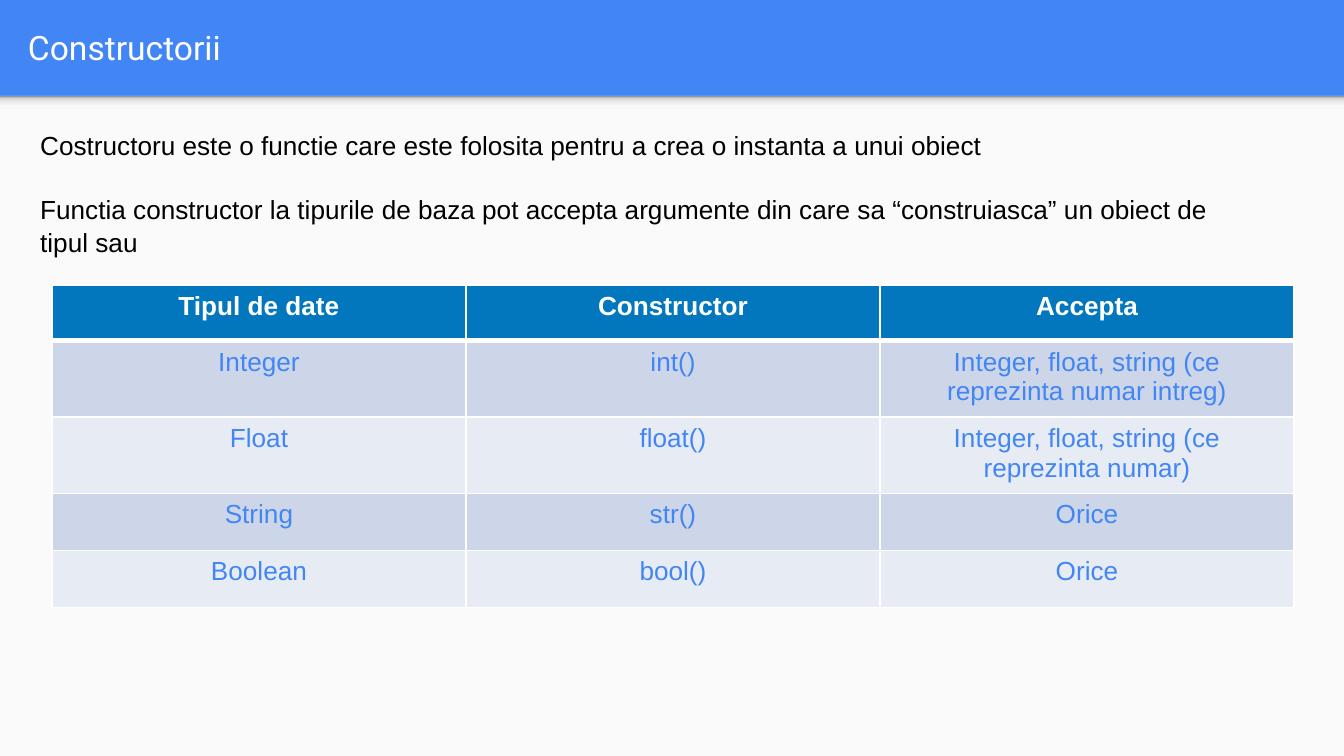
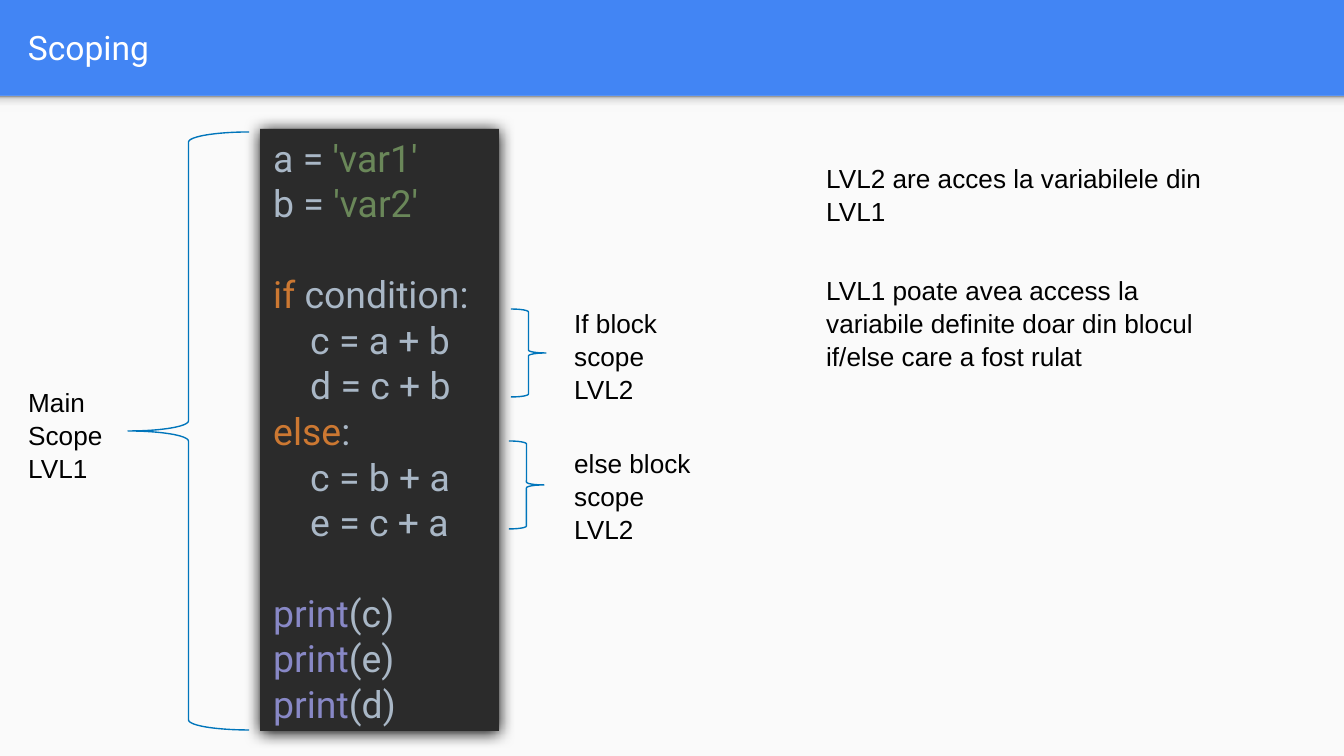
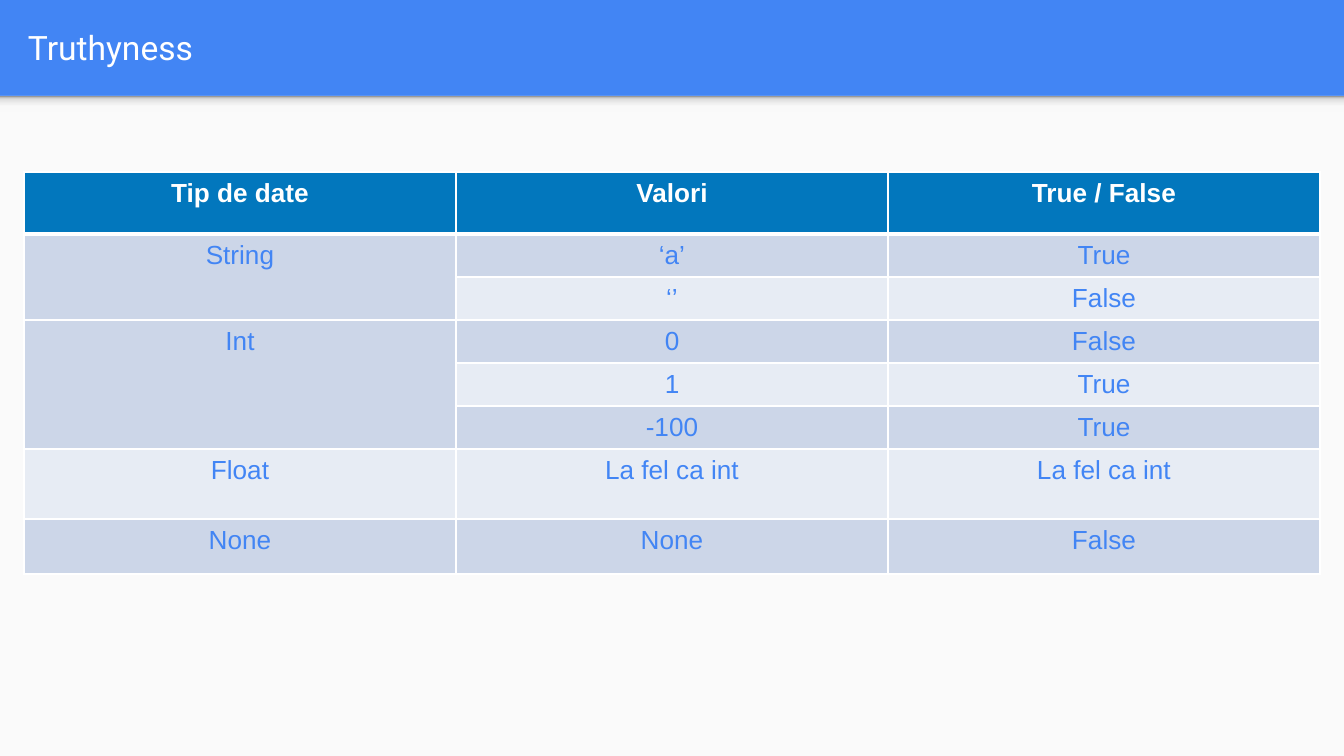
from lxml import etree
from pptx import Presentation
from pptx.dml.color import RGBColor
from pptx.enum.shapes import MSO_SHAPE
from pptx.enum.text import MSO_ANCHOR, PP_ALIGN
from pptx.oxml.ns import qn
from pptx.util import Emu, Pt

RECT = MSO_SHAPE.RECTANGLE
LEFT_BRACE = MSO_SHAPE.LEFT_BRACE
RIGHT_BRACE = MSO_SHAPE.RIGHT_BRACE
MIDDLE = MSO_ANCHOR.MIDDLE
LEFT = PP_ALIGN.LEFT
CENTER = PP_ALIGN.CENTER

SCALE = 9144000 / 1344
WHITE = "FFFFFF"
BLACK = "000000"
BLUE = "4285F4"
PAPER = "FAFAFA"
HEAD = "0277BD"
BANDS = ["E7ECF4", "CCD6E8"]
BRACE = "0075BB"
DARK = "2B2B2B"
PLAIN = "A9B7C6"
GREEN = "6A8759"
ORANGE = "CC7832"
PURPLE = "8888C6"
FADE = [(0, "F9F9F9"), (36, "F9F9F9"), (80, "DEDEDE"), (100, "999999")]


def px(*sizes):
    return [Emu(round(size * SCALE)) for size in sizes]


def paint(fill, hue):
    fill.solid()
    fill.fore_color.rgb = RGBColor.from_string(hue)


deck = Presentation()
deck.slide_width, deck.slide_height = px(1344, 756)
paint(deck.slide_master.background.fill, BLUE)

slides = []
for name in ["Constructorii", "Scoping", "Truthyness"]:
    slide = deck.slides.add_slide(deck.slide_layouts[5])
    slides.append(slide)

    panel = slide.shapes.add_shape(RECT, *px(0, 96, 1344, 660))
    panel.shadow.inherit = False
    paint(panel.fill, PAPER)
    panel.line.fill.background()

    strip = slide.shapes.add_shape(RECT, *px(0, 96, 1344, 16))
    strip.shadow.inherit = False
    strip.line.fill.background()
    strip.fill.gradient()
    strip.fill.gradient_angle = 90
    stops = strip._element.spPr.find(".//" + qn("a:gsLst"))
    for stop in list(stops):
        stops.remove(stop)
    for spot, hue in FADE:
        stop = etree.SubElement(stops, qn("a:gs"), pos=str(spot * 1000))
        etree.SubElement(stop, qn("a:srgbClr"), val=hue)

    title = slide.shapes.title
    title.left, title.top, title.width, title.height = px(15, 3, 1297, 89)
    frame = title.text_frame
    frame.text = name
    frame.vertical_anchor = MIDDLE
    frame.margin_left, frame.margin_top = px(13, 13)
    frame.margin_right, frame.margin_bottom = px(13, 13)
    para = frame.paragraphs[0]
    para.alignment = LEFT
    font = para.runs[0].font
    font.name = "Roboto"
    font.size = Pt(18)
    paint(font.fill, WHITE)

first, scope, truth = slides

notes = [
    (first, (27, 121, 1199, 140), 16.6, [
        "Costructoru este o functie care este folosita pentru a crea o instanta a unui obiect",
        "Functia constructor la tipurile de baza pot accepta argumente din care sa "
        "“construiasca” un obiect de tipul sau"]),
    (scope, (15, 378, 103, 109), 0, ["Main Scope", "LVL1"]),
    (scope, (561, 299, 173, 109), 0, ["If block scope", "LVL2"]),
    (scope, (561, 439, 173, 109), 0, ["else block scope", "LVL2"]),
    (scope, (813, 154, 438, 77), 0, ["LVL2 are acces la variabilele din LVL1"]),
    (scope, (813, 266, 438, 109), 0, [
        "LVL1 poate avea access la variabile definite doar din blocul "
        "if/else care a fost rulat"]),
]
for slide, place, gap, lines in notes:
    frame = slide.shapes.add_textbox(*px(*place)).text_frame
    frame.word_wrap = True
    frame.text = "\n".join(lines)
    for para in frame.paragraphs:
        para.line_spacing = 1.05
        font = para.runs[0].font
        font.name = "Arial"
        font.size = Pt(14)
        paint(font.fill, BLACK)
    frame.paragraphs[-1].space_before = Pt(gap)

tables = [
    (first, 52, 285, 414, [56, 76, 76, 57, 57], [], [
        ["Tipul de date", "Constructor", "Accepta"],
        ["Integer", "int()", "Integer, float, string (ce reprezinta numar intreg)"],
        ["Float", "float()", "Integer, float, string (ce reprezinta numar)"],
        ["String", "str()", "Orice"],
        ["Boolean", "bool()", "Orice"]]),
    (truth, 24, 172, 432, [62] + [43] * 5 + [70, 55], [(1, 2), (3, 5)], [
        ["Tip de date", "Valori", "True / False"],
        ["String", "‘a’", "True"],
        ["", "‘’", "False"],
        ["Int", "0", "False"],
        ["", "1", "True"],
        ["", "-100", "True"],
        ["Float", "La fel ca int", "La fel ca int"],
        ["None", "None", "False"]]),
]
for slide, left, top, width, highs, spans, rows in tables:
    place = px(left, top, width * 3, sum(highs))
    grid = slide.shapes.add_table(len(rows), 3, *place).table
    for col in grid.columns:
        col.width = px(width)[0]
    for r, row in enumerate(rows):
        grid.rows[r].height = px(highs[r])[0]
        for c, words in enumerate(row):
            cell = grid.cell(r, c)
            props = cell._tc.get_or_add_tcPr()
            for side in "LRTB":
                thick = 3 if (r, side) in [(0, "B"), (1, "T")] else 1
                edge = etree.SubElement(props, qn("a:ln" + side), w=str(Pt(thick)))
                solid = etree.SubElement(edge, qn("a:solidFill"))
                etree.SubElement(solid, qn("a:srgbClr"), val=WHITE)
            paint(cell.fill, BANDS[r % 2] if r else HEAD)
            cell.text_frame.text = words
            para = cell.text_frame.paragraphs[0]
            para.alignment = CENTER
            for run in para.runs:
                run.font.name = "Arial"
                run.font.size = Pt(14)
                run.font.bold = r == 0
                paint(run.font.fill, BLUE if r else WHITE)
    for start, end in spans:
        grid.cell(start, 0).merge(grid.cell(end, 0))

braces = [
    (LEFT_BRACE, (128, 132, 121, 598)),
    (RIGHT_BRACE, (511, 309, 35, 88)),
    (RIGHT_BRACE, (509, 441, 35, 88)),
]
for kind, place in braces:
    brace = scope.shapes.add_shape(kind, *px(*place))
    brace.shadow.inherit = False
    brace.fill.background()
    paint(brace.line.fill, BRACE)
    brace.line.width = Pt(0.75)

code = scope.shapes.add_shape(RECT, *px(260, 129, 239, 602))
paint(code.fill, DARK)
code.line.fill.background()
code.shadow.inherit = False
glow = etree.SubElement(
    code._element.spPr.find(qn("a:effectLst")), qn("a:outerShdw"),
    blurRad=str(Pt(8.5)), dist=str(Pt(1)), dir="5400000",
    algn="ctr", rotWithShape="0")
etree.SubElement(glow, qn("a:srgbClr"), val=BLACK)

source = [
    (0, 0, [("a = ", PLAIN), ("'var1'", GREEN)]),
    (0, 0, [("b = ", PLAIN), ("'var2'", GREEN)]),
    (1, 0, [("if ", ORANGE), ("condition:", PLAIN)]),
    (0, 1, [("c = a + b", PLAIN)]),
    (0, 1, [("d = c + b", PLAIN)]),
    (0, 0, [("else", ORANGE), (":", PLAIN)]),
    (0, 1, [("c = b + a", PLAIN)]),
    (0, 1, [("e = c + a", PLAIN)]),
    (1, 0, [("print", PURPLE), ("(c)", PLAIN)]),
    (0, 0, [("print", PURPLE), ("(e)", PLAIN)]),
    (0, 0, [("print", PURPLE), ("(d)", PLAIN)]),
]
frame = code.text_frame
frame.word_wrap = True
frame.vertical_anchor = MIDDLE
frame.text = "\n".join("" for line in source)
for para, (gap, depth, parts) in zip(frame.paragraphs, source):
    para.alignment = LEFT
    para.line_spacing = 1.025
    para.space_before = Pt(24 * gap)
    para._p.get_or_add_pPr().set("marL", str(px(37 * depth)[0]))
    for words, hue in parts:
        run = para.add_run()
        run.text = words
        run.font.name = "Roboto"
        run.font.size = Pt(20)
        paint(run.font.fill, hue)

deck.save("out.pptx")
